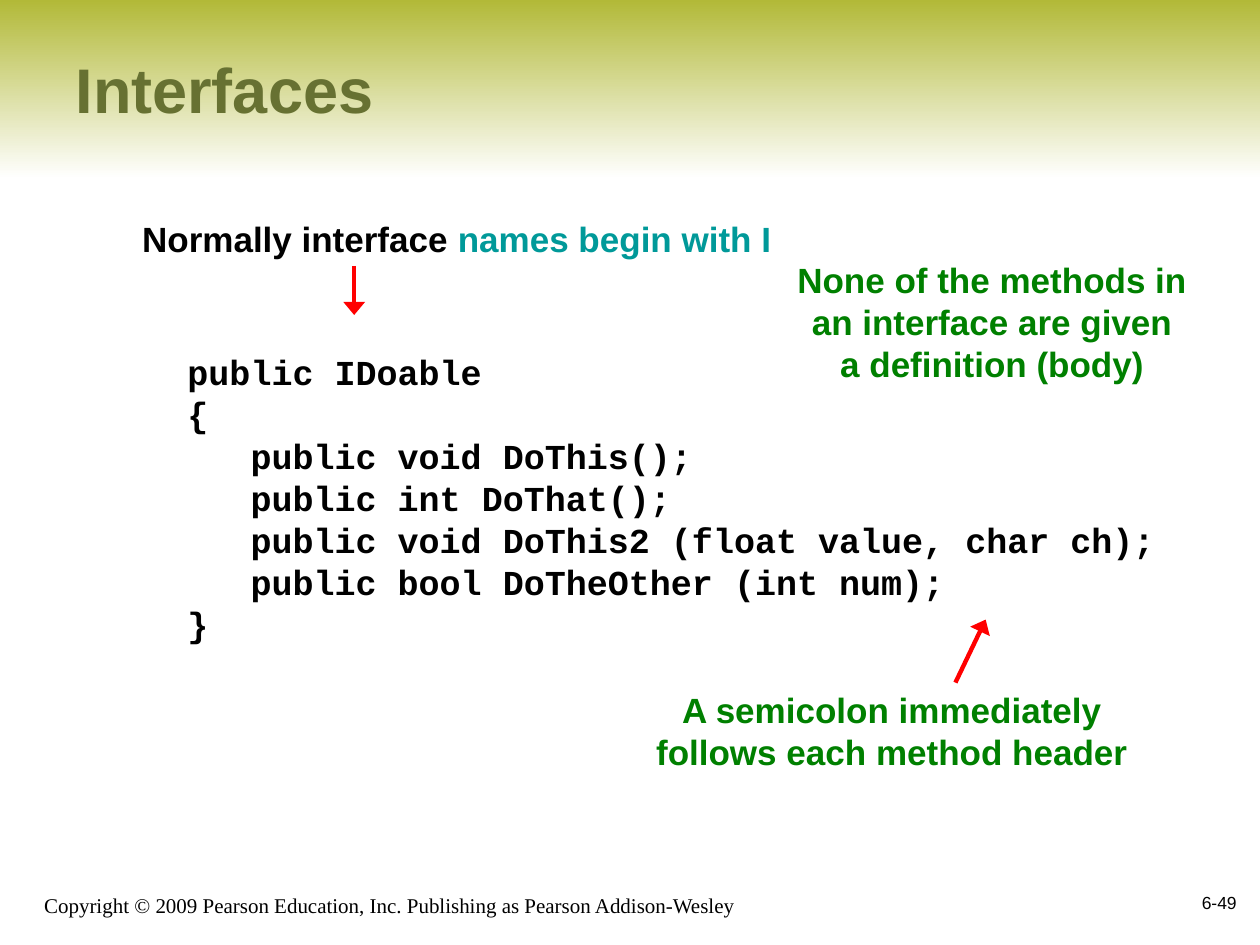
from lxml.etree import SubElement
from pptx import Presentation
from pptx.dml.color import RGBColor
from pptx.enum.shapes import MSO_CONNECTOR, MSO_SHAPE
from pptx.enum.text import MSO_ANCHOR, PP_ALIGN
from pptx.oxml.ns import qn
from pptx.util import Cm, Pt

BLACK, TEAL, GREEN, RED = "000000", "009999", "008000", "FF0000"


def write_text(shape, lines, size, font="Arial", bold=True, align=PP_ALIGN.LEFT,
               anchor=MSO_ANCHOR.MIDDLE, spacing=None, wrap=False):
    """Fill a shape with lines, each a list of (text, colour) runs."""
    frame = shape.text_frame
    frame.word_wrap = wrap
    frame.vertical_anchor = anchor
    for index, line in enumerate(lines):
        paragraph = frame.add_paragraph() if index else frame.paragraphs[0]
        paragraph.alignment = align
        paragraph.line_spacing = spacing
        for text, colour in line:
            run = paragraph.add_run()
            run.text = text
            run.font.name = font
            run.font.size = Pt(size)
            run.font.bold = bold
            run.font.color.rgb = RGBColor.from_string(colour)


def add_arrow(shapes, *ends):
    arrow = shapes.add_connector(MSO_CONNECTOR.STRAIGHT, *map(Cm, ends))
    arrow.line.color.rgb = RGBColor.from_string(RED)
    arrow.line.width = Pt(2.5)
    SubElement(arrow.line._get_or_add_ln(), qn("a:tailEnd"), type="triangle", w="lg", len="med")
    SubElement(arrow._element.spPr, qn("a:effectLst"))


presentation = Presentation()
presentation.slide_width = Cm(25.4)
presentation.slide_height = Cm(19.05)
slide = presentation.slides.add_slide(presentation.slide_layouts[5])
shapes = slide.shapes

# Header band, behind the title
band = shapes.add_shape(MSO_SHAPE.RECTANGLE, 0, 0, Cm(25.4), Cm(3.6))
band.shadow.inherit = False
band.line.fill.background()
band.fill.gradient()
band.fill.gradient_angle = 270
for position, (stop, colour) in enumerate(zip(band.fill.gradient_stops, ("B2B938", "FFFFFF"))):
    stop.color.rgb = RGBColor.from_string(colour)
    stop.position = position
shapes._spTree.insert(2, band._element)

title = shapes.title
title.left, title.top, title.width, title.height = Cm(1.27), Cm(0.2), Cm(23.06), Cm(3.18)
write_text(title, [[("Interfaces", "677132")]], 36, wrap=True)

# Footer
copyright_line = shapes.add_textbox(Cm(0.64), Cm(17.56), Cm(15.44), Cm(1.07))
write_text(copyright_line, [[("Copyright © 2009 Pearson Education, Inc. Publishing as "
                              "Pearson Addison-Wesley", BLACK)]],
           12, "Times New Roman", bold=False, anchor=MSO_ANCHOR.BOTTOM, wrap=True)
page_number = shapes.add_textbox(Cm(19.9), Cm(17.56), Cm(5.28), Cm(1.27))
write_text(page_number, [[("6-49", BLACK)]], 10, bold=False, align=PP_ALIGN.RIGHT, wrap=True)

# Code listing
code = """public IDoable
{
   public void DoThis();
   public int DoThat();
   public void DoThis2 (float value, char ch);
   public bool DoTheOther (int num);
}"""
listing = shapes.add_textbox(Cm(3.53), Cm(6.93), Cm(20.02), Cm(6.2))
write_text(listing, [[(line, BLACK)] for line in code.splitlines()],
           20, "Courier New", spacing=Pt(24))

# Notes around the code: box, lines, arrow ends
notes = [
    ((2.42, 4.24, 13.58, 1.12),
     [[("Normally interface", BLACK), (" names begin with I", TEAL)]],
     (7.14, 5.36, 7.14, 6.35)),
    ((15.82, 5.08, 8.36, 2.79),
     [[("None of the methods in", GREEN)],
      [("an interface are given", GREEN)],
      [("a definition (body)", GREEN)]],
     None),
    ((12.78, 13.75, 10.4, 1.96),
     [[("A semicolon immediately", GREEN)],
      [("follows each method header", GREEN)]],
     (19.26, 13.76, 19.87, 12.49)),
]
for box, lines, arrow_ends in notes:
    container = shapes.add_group_shape().shapes if arrow_ends else shapes
    note = container.add_textbox(*map(Cm, box))
    write_text(note, lines, 20, align=PP_ALIGN.CENTER, spacing=Pt(24))
    if arrow_ends:
        add_arrow(container, *arrow_ends)

presentation.save("out.pptx")
